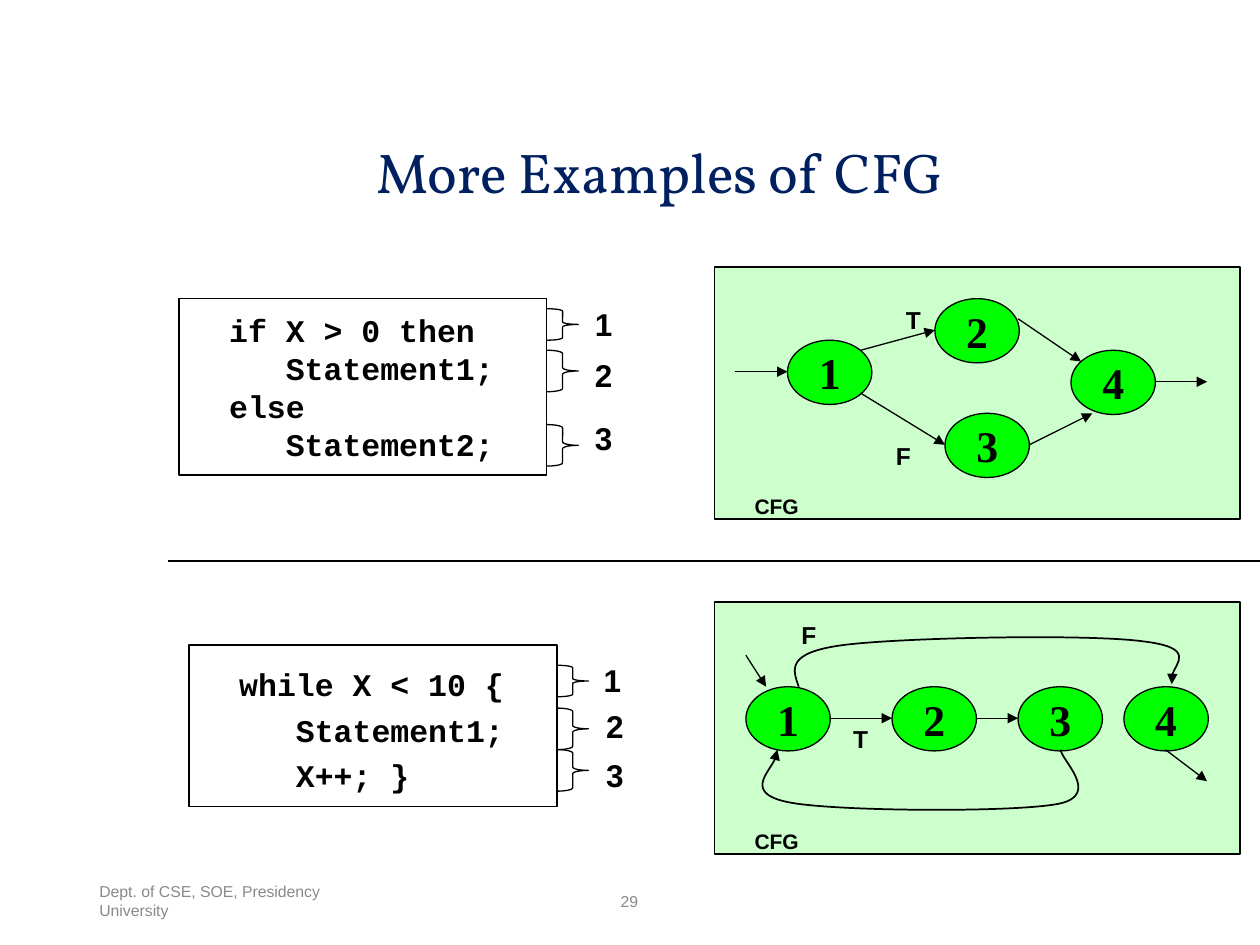
"""Build a slide with two code samples and their control flow graphs."""
import pptx
import pptx.util
import pptx.dml.color
import pptx.enum.shapes
import pptx.enum.text
import pptx.oxml
import pptx.oxml.ns

Inches = pptx.util.Inches
Pt = pptx.util.Pt
Kind = pptx.enum.shapes.MSO_SHAPE
Align = pptx.enum.text.PP_ALIGN
Anchor = pptx.enum.text.MSO_ANCHOR

THEME = {
    "ink": "000000", "panel": "CCFFCC", "node": "00FF00",
    "title": ("Vollkorn", 32, "002060", False),
    "foot": ("Arial", 9, "898989", False),
    "code": ("Courier New", 18, "000000", True),
    "step": ("Arial", 18, "000000", True),
    "edge": ("Arial", 14, "000000", True),
    "name": ("Arial", 12, "000000", True),
    "digit": ("Times New Roman", 25, "000000", True),
    "thin": 0.75, "thick": 1,
}
TITLE = "More Examples of CFG "
FOOT = [
    ("Dept. of CSE, SOE, Presidency University", (0.69, 6.95, 2.25, 0.4), Align.LEFT),
    ("29", (3.31, 6.95, 3.37, 0.4), Align.CENTER),
]
NODE = (0.67, 0.51)
PANEL = (4.17, 2)
BRACE = 0.25
RULE = ((1.33, 4.45), (10.17, 4.45))
CASES = [
    {
        "code": "  if X > 0 then\n     Statement1;\v  else\v     Statement2;",
        "box": (1.42, 2.37, 2.92, 1.4), "pitch": 1.0,
        "steps": [(2.45, 0.25, 4.58, 2.37), (2.78, 0.33, 4.58, 2.78), (3.37, 0.33, 4.58, 3.28)],
        "panel": (5.67, 2.12),
        "nodes": [(6.25, 2.7), (7.42, 2.37), (7.5, 3.28), (8.5, 2.78)],
        "edges": [((5.83, 2.95), (6.25, 2.95)), ((6.83, 2.78), (7.42, 2.62)),
                  ((6.83, 3.12), (7.5, 3.53)), ((8.08, 2.53), (8.58, 2.87)),
                  ((8.17, 3.53), (8.67, 3.28)), ((9.17, 3.03), (9.58, 3.03))],
        "marks": [("T", 7, 2.37), ("F", 6.92, 3.45)],
        "loops": [],
    },
    {
        "code": "  while X < 10 {\n     Statement1;\v     X++; }",
        "box": (1.5, 5.12, 2.92, 1.28), "pitch": 1.2,
        "steps": [(5.28, 0.25, 4.65, 5.2), (5.62, 0.33, 4.67, 5.56), (5.95, 0.33, 4.67, 5.95)],
        "panel": (5.67, 4.78),
        "nodes": [(x, 5.45) for x in (5.92, 7.08, 8.08, 8.92)],
        "edges": [((5.92, 5.2), (6.08, 5.45)), ((6.58, 5.7), (7.08, 5.7)),
                  ((7.75, 5.7), (8.08, 5.7)), ((9.25, 5.95), (9.58, 6.2))],
        "marks": [("T", 6.58, 5.7), ("F", 6.17, 4.87)],
        "loops": [
            [(6.34, 5.45), (6.29, 5.31), (6.24, 5.18), (6.69, 5.12), (7.15, 5.06),
             (8.63, 5.03), (9.07, 5.09), (9.5, 5.14), (9.25, 5.36), (9.3, 5.43)],
            [(8.42, 5.95), (8.41, 6.02), (8.75, 6.31), (8.4, 6.38), (8.04, 6.45),
             (6.64, 6.44), (6.27, 6.37), (5.9, 6.3), (6.19, 6.04), (6.17, 5.95)],
        ],
    },
]


def color(code):
    return pptx.dml.color.RGBColor.from_string(code)


def place(shape, box):
    shape.left, shape.top, shape.width, shape.height = map(Inches, box)


def write(shape, text, style, align=Align.CENTER, anchor=Anchor.TOP,
          pad=(0.1, 0.05), pitch=None, wrap=True):
    face, size, tint, bold = THEME[style]
    frame = shape.text_frame
    frame.word_wrap = wrap
    frame.vertical_anchor = anchor
    frame.margin_left = frame.margin_right = Inches(pad[0])
    frame.margin_top = frame.margin_bottom = Inches(pad[1])
    parts = text.split("\n")
    for i, part in enumerate(parts):
        para = frame.paragraphs[0] if i == 0 else frame.add_paragraph()
        para.text = part
        para.alignment = align
        para.line_spacing = pitch
        for run in para.runs:
            run.font.name = face
            run.font.size = Pt(size)
            run.font.bold = bold
            run.font.color.rgb = color(tint)


def label(slide, text, box, style, **look):
    write(slide.shapes.add_textbox(*map(Inches, box)), text, style, **look)


def ink(shape, width):
    shape.line.color.rgb = color(THEME["ink"])
    shape.line.width = Pt(width)


def draw(slide, kind, box, fill=None, width=THEME["thin"]):
    shape = slide.shapes.add_shape(kind, *map(Inches, box))
    shape.shadow.inherit = False
    if fill:
        shape.fill.solid()
        shape.fill.fore_color.rgb = color(THEME[fill])
    else:
        shape.fill.background()
    ink(shape, width)
    return shape


def point(shape):
    line = shape.line._get_or_add_ln()
    tip = pptx.oxml.ns.qn("a:tailEnd")
    line.append(line.makeelement(tip, {"type": "triangle"}))


def link(slide, start, end, width=THEME["thin"], arrow=True):
    line = slide.shapes.add_connector(
        pptx.enum.shapes.MSO_CONNECTOR.STRAIGHT, *map(Inches, start + end))
    ink(line, width)
    if arrow:
        point(line)
    props = line._element.spPr
    props.append(props.makeelement(pptx.oxml.ns.qn("a:effectLst"), {}))


def bend(slide, dots):
    grid = [(Inches(x), Inches(y)) for x, y in dots]
    pen = slide.shapes.build_freeform(*grid[0])
    pen.add_line_segments(grid[1:], close=False)
    loop = pen.convert_to_shape()
    loop.shadow.inherit = False
    loop.fill.background()
    ink(loop, THEME["thick"])
    point(loop)
    legs = list(loop._element.iter(pptx.oxml.ns.qn("a:lnTo")))
    for i in range(0, len(legs), 3):
        curve = legs[i].makeelement(pptx.oxml.ns.qn("a:cubicBezTo"), {})
        legs[i].addprevious(curve)
        for leg in legs[i:i + 3]:
            curve.append(leg[0])
            leg.getparent().remove(leg)


def show(slide, case):
    left, top, wide, high = case["box"]
    code = draw(slide, Kind.RECTANGLE, case["box"])
    write(code, case["code"], "code", align=Align.LEFT, pad=(0.1, 0.1), pitch=case["pitch"])
    for num, (y, tall, x, base) in enumerate(case["steps"], 1):
        brace = draw(slide, Kind.RIGHT_BRACE, (left + wide, y, BRACE, tall))
        brace.adjustments[0] = 0.08 * tall / BRACE
        label(slide, str(num), (x, base, 0.42, 0.4), "step")
    x, y = case["panel"]
    draw(slide, Kind.RECTANGLE, (x, y) + PANEL, "panel", THEME["thick"])
    label(slide, "CFG", (x + 0.16, y + 1.75, 0.67, 0.3), "name")
    for num, spot in enumerate(case["nodes"], 1):
        node = draw(slide, Kind.OVAL, spot + NODE, "node")
        write(node, str(num), "digit", anchor=Anchor.MIDDLE, wrap=False)
    for start, end in case["edges"]:
        link(slide, start, end)
    for text, x, y in case["marks"]:
        label(slide, text, (x, y, 0.5, 0.34), "edge")
    for dots in case["loops"]:
        bend(slide, dots)


def main():
    deck = pptx.Presentation()
    deck.slide_width, deck.slide_height = Inches(10), Inches(7.5)
    slide = deck.slides.add_slide(deck.slide_layouts[5])
    title = slide.shapes.title
    place(title, (2.81, 1.12, 4.95, 0.6))
    write(title, TITLE, "title", pad=(0.07, 0.03), pitch=0.9)
    for text, box, align in FOOT:
        label(slide, text, box, "foot", align=align, anchor=Anchor.MIDDLE)
    link(slide, *RULE, width=THEME["thick"], arrow=False)
    for case in CASES:
        show(slide, case)
    deck.save("out.pptx")


if __name__ == "__main__":
    main()
